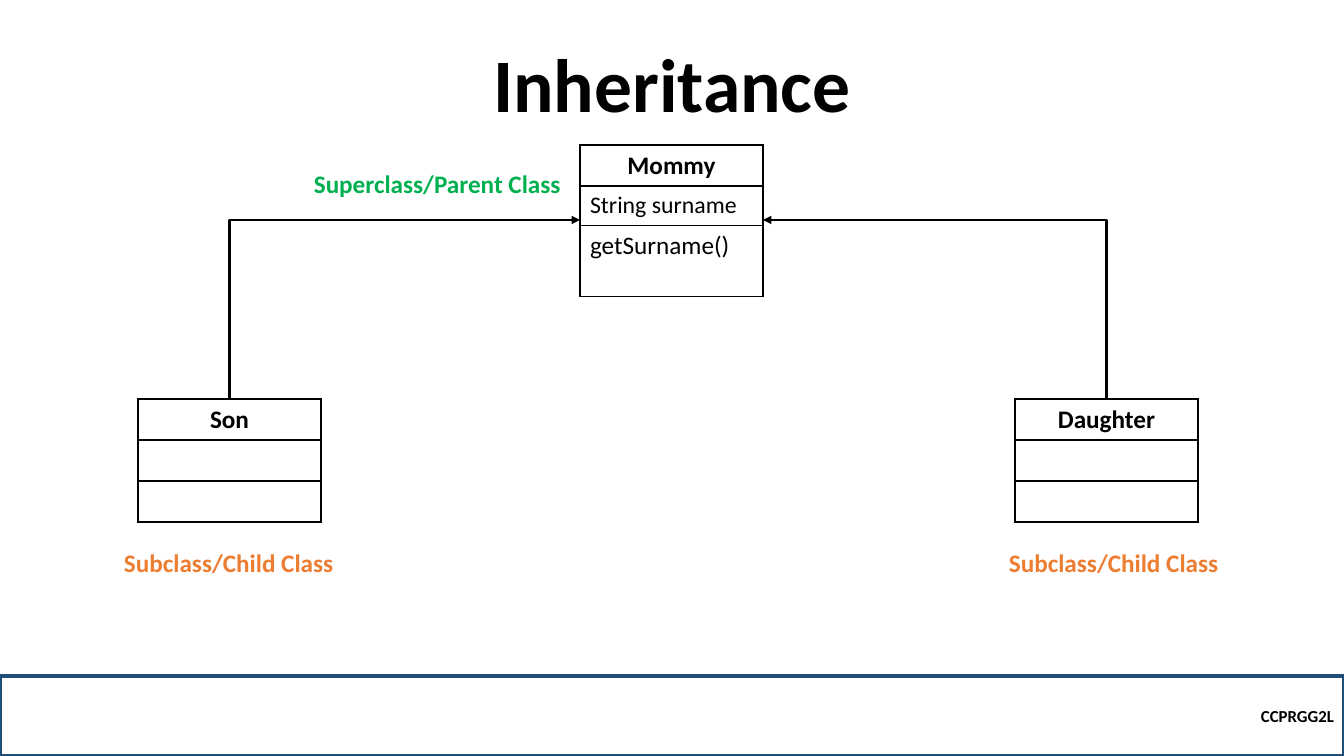
"""Build the Inheritance class diagram slide."""
from lxml import etree
from pptx import Presentation
from pptx.dml.color import RGBColor
from pptx.enum.shapes import MSO_CONNECTOR, MSO_SHAPE
from pptx.enum.text import MSO_ANCHOR, MSO_AUTO_SIZE, PP_ALIGN
from pptx.oxml.ns import qn
from pptx.util import Pt

LEFT, CENTER, RIGHT = PP_ALIGN.LEFT, PP_ALIGN.CENTER, PP_ALIGN.RIGHT
MIDDLE, BOTTOM = MSO_ANCHOR.MIDDLE, MSO_ANCHOR.BOTTOM
ELBOW, RECTANGLE = MSO_CONNECTOR.ELBOW, MSO_SHAPE.RECTANGLE
NO_FIT, GROW = MSO_AUTO_SIZE.NONE, MSO_AUTO_SIZE.SHAPE_TO_FIT_TEXT

SCALE = 914400 / 100.8
PAGE_WIDTH, PAGE_HEIGHT = 1344, 756
COLORS = {"black": "000000", "navy": "1F4E79", "green": "00B050", "orange": "ED7D31"}
FONT = "Calibri"

TITLE = ("Inheritance", (168, 54, 1008, 80))
FOOTER = ("CCPRGG2L", (0, 676, PAGE_WIDTH, 80))
CLASS_WIDTH = 183
PARENT = {"at": (580, 145), "rows": [("Mommy", 18, 41), ("String surname", 17, 39),
                                     ("getSurname()", 18, 71)]}
CHILDREN = [{"at": (left, 399), "rows": [(name, 18, 41), ("", 18, 41), ("", 18, 41)]}
            for name, left in (("Son", 138), ("Daughter", 1015))]
LABELS = [
    ("Subclass/Child Class", "orange", (114, 542, 231, 40)),
    ("Superclass/Parent Class", "green", (304, 163, 269, 40)),
    ("Subclass/Child Class", "orange", (999, 542, 231, 40)),
]
ARROW_Y = 220


def px(value):
    return round(value * SCALE)


def box_of(*values):
    return [px(value) for value in values]


def write(frame, text, size=18, color="black", bold=True, align=LEFT, spacing=None):
    para = frame.paragraphs[0]
    para.alignment = align
    para.line_spacing = spacing
    para.font.size = Pt(size)
    if text:
        span = para.add_run()
        span.text = text
        span.font.name, span.font.size, span.font.bold = FONT, Pt(size), bold
        span.font.color.rgb = RGBColor.from_string(COLORS[color])


def add_borders(cell):
    properties = cell._tc.get_or_add_tcPr()
    for index, side in enumerate(("lnL", "lnR", "lnT", "lnB")):
        line = etree.Element(qn("a:" + side), w=str(Pt(1)))
        fill = etree.SubElement(line, qn("a:solidFill"))
        etree.SubElement(fill, qn("a:srgbClr"), val=COLORS["black"])
        properties.insert(index, line)


def add_class(page, at, rows):
    height = sum(row[2] for row in rows)
    table = page.shapes.add_table(len(rows), 1, *box_of(*at, CLASS_WIDTH, height)).table
    table.first_row = table.horz_banding = False
    for index, (text, size, row_height) in enumerate(rows):
        table.rows[index].height = px(row_height)
        cell = table.cell(index, 0)
        cell.fill.background()
        add_borders(cell)
        heading = index == 0
        write(cell.text_frame, text, size=size, bold=heading,
              align=CENTER if heading else LEFT)


def add_arrow(page, start, end):
    rise, run = start[1] - end[1], abs(end[0] - start[0])
    middle_x, middle_y = (start[0] + end[0]) / 2, (start[1] + end[1]) / 2
    left, top = middle_x - rise / 2, middle_y - run / 2
    arrow = page.shapes.add_connector(ELBOW, *box_of(left, top, left + rise, top + run))
    arrow.line.width = Pt(1.5)
    arrow.line.color.rgb = RGBColor.from_string(COLORS["black"])
    properties = arrow._element.spPr
    properties.find(qn("a:prstGeom")).set("prst", "bentConnector2")
    frame = properties.find(qn("a:xfrm"))
    frame.set("flipV", "1")
    if end[0] > start[0]:
        frame.set("flipH", "1")
        frame.set("rot", str(90 * 60000))
    else:
        frame.set("rot", str(270 * 60000))
    etree.SubElement(properties.find(qn("a:ln")), qn("a:tailEnd"), type="triangle")
    etree.SubElement(properties, qn("a:effectLst"))


def main():
    deck = Presentation()
    deck.slide_width, deck.slide_height = px(PAGE_WIDTH), px(PAGE_HEIGHT)
    page = deck.slides.add_slide(deck.slide_layouts[5])

    text, box = TITLE
    title = page.shapes.title
    title.left, title.top, title.width, title.height = box_of(*box)
    title.text_frame.auto_size = NO_FIT
    title.text_frame.vertical_anchor = BOTTOM
    write(title.text_frame, text, size=54, align=CENTER, spacing=0.9)

    text, box = FOOTER
    footer = page.shapes.add_shape(RECTANGLE, *box_of(*box))
    footer.shadow.inherit = False
    footer.fill.background()
    footer.line.width = Pt(2.25)
    footer.line.color.rgb = RGBColor.from_string(COLORS["navy"])
    footer.text_frame.vertical_anchor = MIDDLE
    write(footer.text_frame, text, size=12, align=RIGHT)

    for item in [PARENT, *CHILDREN]:
        add_class(page, **item)

    parent_left = PARENT["at"][0]
    for child, end_x in zip(CHILDREN, (parent_left, parent_left + CLASS_WIDTH)):
        left, top = child["at"]
        add_arrow(page, (left + CLASS_WIDTH / 2, top), (end_x, ARROW_Y))

    for text, color, box in LABELS:
        frame = page.shapes.add_textbox(*box_of(*box)).text_frame
        frame.word_wrap = False
        frame.auto_size = GROW
        write(frame, text, color=color)

    deck.save("out.pptx")


if __name__ == "__main__":
    main()
